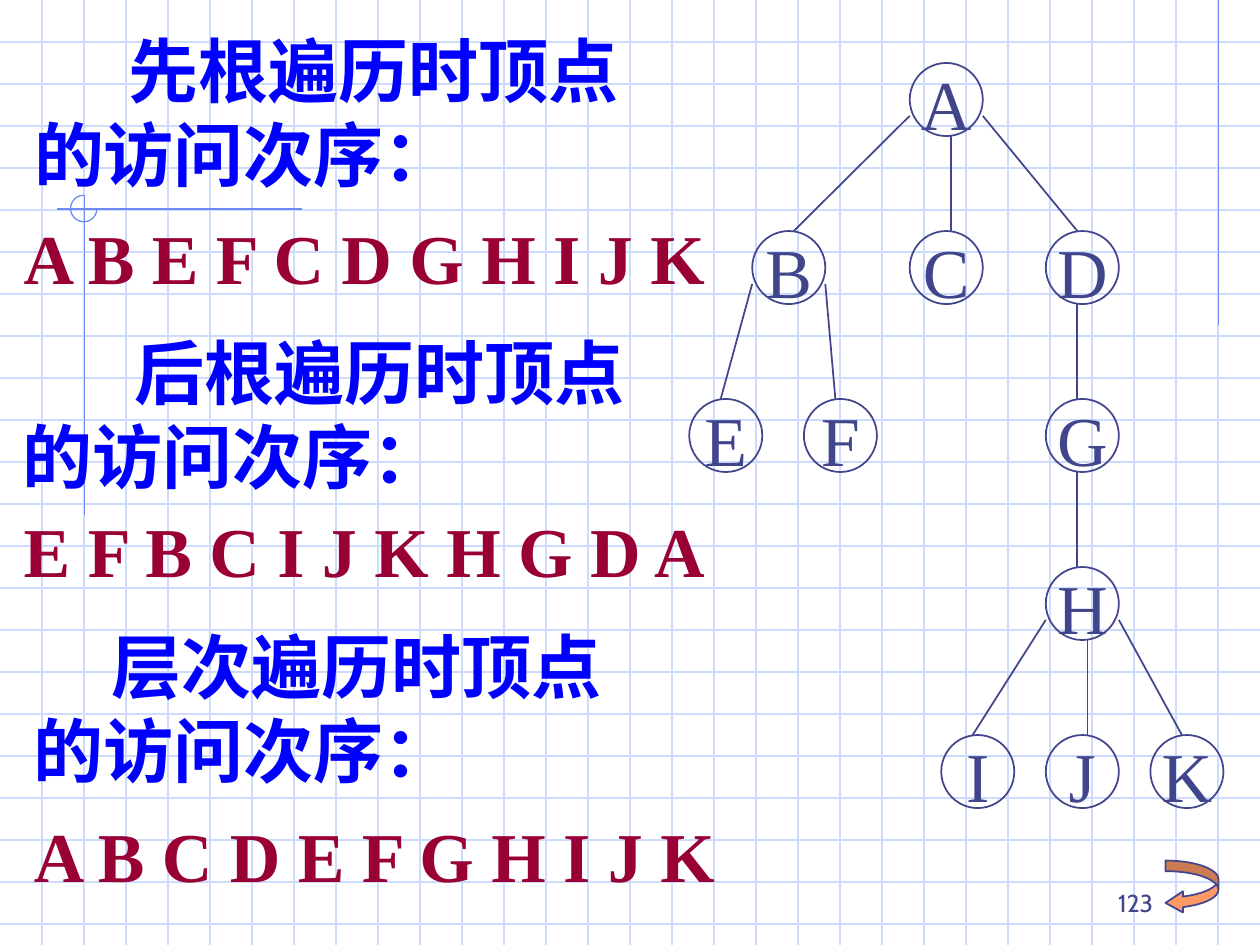
"""Builds a slide on tree traversal orders, with the tree drawn beside them."""
from lxml.etree import SubElement
from pptx import Presentation
from pptx.dml.color import RGBColor
from pptx.enum.shapes import MSO_CONNECTOR as LINK, MSO_SHAPE as SHAPE
from pptx.enum.text import MSO_ANCHOR as ANCHOR, MSO_AUTO_SIZE as FIT, PP_ALIGN as ALIGN
from pptx.oxml.ns import qn
from pptx.util import Inches, Pt

WHITE = RGBColor(0xFF, 0xFF, 0xFF)
PALE = RGBColor(0xCF, 0xDB, 0xFD)
ACCENT = RGBColor(0x6F, 0x89, 0xF7)
INDIGO = RGBColor(0x40, 0x45, 0x8C)
BLUE = RGBColor(0x00, 0x00, 0xFF)
CRIMSON = RGBColor(0x99, 0x00, 0x33)
ORANGE = RGBColor(0xFF, 0x99, 0x66)
SERIF, SANS = "Times New Roman", "Cabin"

WIDTH, HEIGHT, CELLS = 10, 7.5, 3
NODE, SHOULDER = 0.58, 0.42
FIRST_ROW, ROW_STEP = 0.5, 4 / 3

HEADINGS = [
    ("先根遍历时顶点的访问次序：", (0.17, 0.17, 5.08, 1.44), 0.75),
    ("后根遍历时顶点的访问次序：", (0.08, 2.57, 5.18, 1.44), 0.89),
    ("层次遍历时顶点的访问次序：", (0.17, 4.9, 4.83, 1.44), 0.62),
]
ORDERS = [
    ("A B E F C D G H I J K", (0.09, 1.65, 5.66, 0.77)),
    ("E F B C I J K H G D A", (0.09, 3.98, 5.66, 0.77)),
    ("A B C D E F G H I J K", (0.17, 6.4, 5.66, 0.77)),
]
TREE_ROWS = [
    {"A": 7.22},
    {"B": 5.97, "C": 7.22, "D": 8.3},
    {"E": 5.47, "F": 6.38, "G": 8.3},
    {"H": 8.3},
    {"I": 7.47, "J": 8.3, "K": 9.13},
]
BRANCHES = [
    ("A", "B", 0, 0.33), ("A", "C", 0.33, 0.33), ("A", "D", NODE, 0.25),
    ("B", "E", 0, 0.25), ("B", "F", NODE, 0.25), ("D", "G", 0.25, 0.25),
    ("G", "H", 0.25, 0.25), ("H", "I", 0, 0.25), ("H", "J", 0.33, 0.33),
    ("H", "K", NODE, 0.25),
]
ACCENT_LINES = [
    ((9.67, 0), (9.67, 2.58)),
    ((2.4, 1.66), (0.45, 1.66)),
    ((0.67, 1.55), (0.67, 4.09)),
]


def add_line(slide, start, end, color, width=0.75):
    line = slide.shapes.add_connector(LINK.STRAIGHT, *map(Inches, (*start, *end)))
    line.line.color.rgb = color
    line.line.width = Pt(width)
    SubElement(line._element.spPr, qn("a:effectLst"))


def add_outline(slide, preset, place, color, width):
    outline = slide.shapes.add_shape(preset, *map(Inches, place))
    outline.shadow.inherit = False
    outline.fill.background()
    outline.line.color.rgb = color
    outline.line.width = Pt(width)
    return outline


def write(frame, words, color, size=40, font=SERIF, bold=False, align=ALIGN.LEFT,
          anchor=ANCHOR.TOP, wrap=True, indent=0):
    frame.auto_size = FIT.NONE
    frame.word_wrap = wrap
    frame.vertical_anchor = anchor
    line = frame.paragraphs[0]
    line.alignment = align
    line.space_before = Pt(0)
    if size == 40:
        line.line_spacing = Pt(48)
    if indent:
        line._p.get_or_add_pPr().set("indent", str(Inches(indent)))
    run = line.add_run()
    run.text = words
    run.font.name, run.font.size, run.font.bold = font, Pt(size), bold
    run.font.color.rgb = color


def add_text(slide, place, words, color, **style):
    write(slide.shapes.add_textbox(*map(Inches, place)).text_frame, words, color, **style)


def draw_background(slide):
    slide.background.fill.solid()
    slide.background.fill.fore_color.rgb = WHITE
    for row in range(1, int(HEIGHT * CELLS) + 1):
        add_line(slide, (0, row / CELLS), (WIDTH, row / CELLS), PALE)
    for column in range(1, WIDTH * CELLS):
        add_line(slide, (column / CELLS, 0), (column / CELLS, HEIGHT), PALE)
    for start, end in ACCENT_LINES:
        add_line(slide, start, end, ACCENT)
    corner = add_outline(slide, SHAPE.ARC, (0.56, 1.55, 0.21, 0.21), ACCENT, 0.75)
    corner.adjustments[0] = 0
    corner.adjustments[1] = 162


def draw_tree(slide):
    spots = {}
    for level, row in enumerate(TREE_ROWS):
        for letter, left in row.items():
            top = FIRST_ROW + level * ROW_STEP
            spots[letter] = left, top
            node = add_outline(slide, SHAPE.OVAL, (left, top, NODE, NODE), INDIGO, 1)
            frame = node.text_frame
            frame.margin_left = frame.margin_right = frame.margin_bottom = 0
            frame.margin_top = Inches(0.05)
            write(frame, letter, INDIGO, align=ALIGN.CENTER,
                  anchor=ANCHOR.MIDDLE, wrap=False)
    for parent, child, leave, arrive in BRANCHES:
        (left, top), (child_left, child_top) = spots[parent], spots[child]
        drop = SHOULDER if leave in (0, NODE) else NODE
        add_line(slide, (left + leave, top + drop), (child_left + arrive, child_top), INDIGO, 1)


def draw_return_arrow(slide):
    arrow = add_outline(slide, SHAPE.CURVED_LEFT_ARROW, (9.25, 6.83, 0.42, 0.42), INDIGO, 1)
    arrow.fill.solid()
    arrow.fill.fore_color.rgb = ORANGE
    for index, share in enumerate((0.2, 0.4, 0.33)):
        arrow.adjustments[index] = share


def add_title(slide, words, place, indent):
    title = slide.shapes.title
    title.left, title.top, title.width, title.height = map(Inches, place)
    write(title.text_frame, words, BLUE, bold=True, indent=indent)
    slide.shapes._spTree.append(title._element)


def main():
    deck = Presentation()
    deck.slide_width, deck.slide_height = Inches(WIDTH), Inches(HEIGHT)
    slide = deck.slides.add_slide(deck.slide_layouts[5])
    draw_background(slide)
    draw_tree(slide)
    draw_return_arrow(slide)
    add_title(slide, *HEADINGS[0])
    for words, place, indent in HEADINGS[1:]:
        add_text(slide, place, words, BLUE, bold=True, indent=indent)
    for words, place in ORDERS:
        add_text(slide, place, words, CRIMSON, bold=True, wrap=False)
    add_text(slide, (7.17, 6.83, 2.08, 0.5), "123", INDIGO, size=14, font=SANS,
             align=ALIGN.RIGHT, anchor=ANCHOR.BOTTOM)
    deck.save("out.pptx")


if __name__ == "__main__":
    main()
